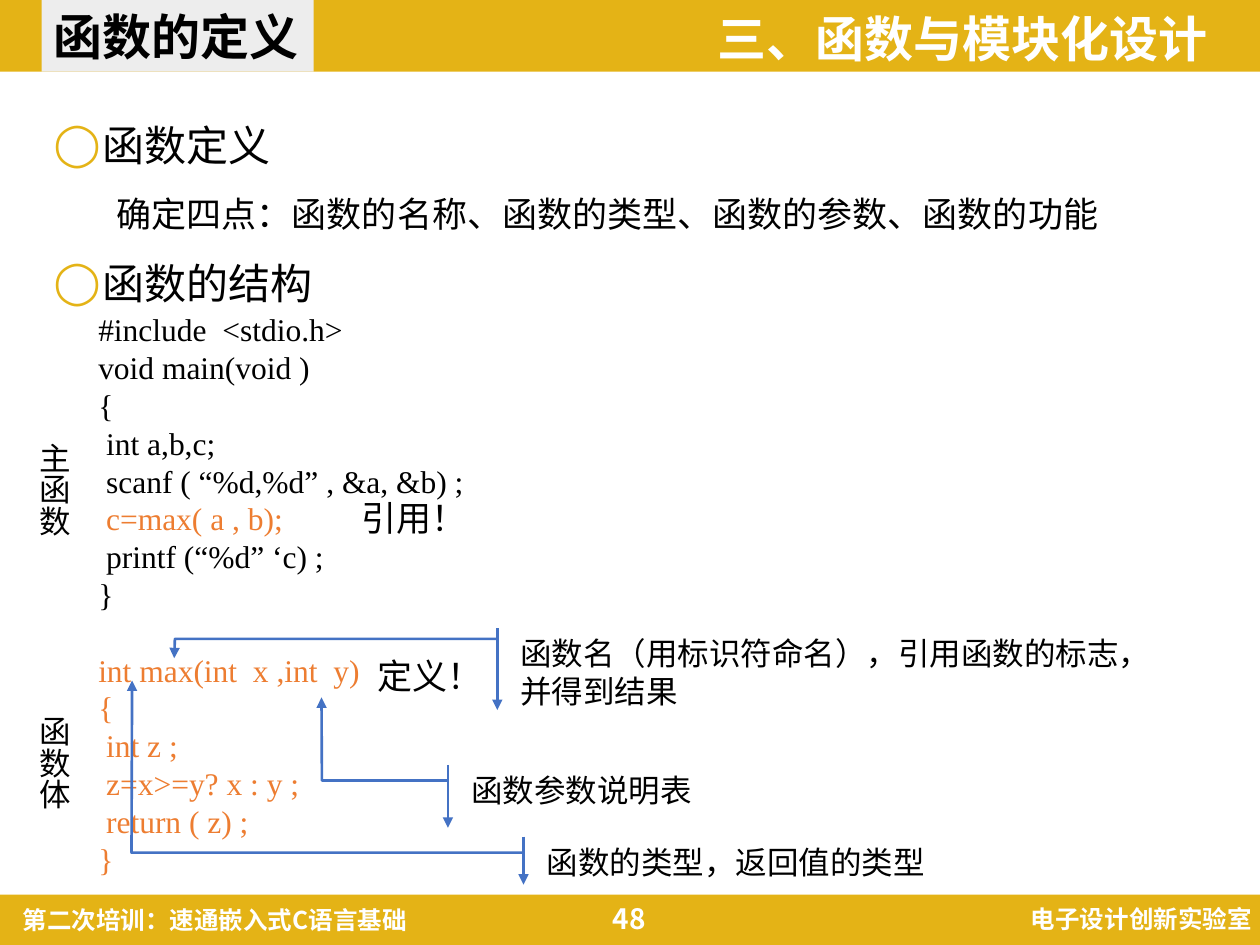
import pptx
import pptx.dml.color
import pptx.enum.shapes
import pptx.enum.text
import pptx.oxml.ns
import pptx.util
from lxml import etree

CJK, SERIF = "Noto Sans CJK SC", "Times New Roman"
GOLD, ORANGE, BLUE, WHITE, BLACK = "E4B316", "ED7D31", "4472C4", "FFFFFF", "000000"
rgb = pptx.dml.color.RGBColor.from_string
qn = pptx.oxml.ns.qn
Pt = pptx.util.Pt
MSO = pptx.enum.shapes.MSO_SHAPE
ALIGN = pptx.enum.text.PP_ALIGN
ANCHOR = pptx.enum.text.MSO_ANCHOR

prs = pptx.Presentation()
prs.slide_width, prs.slide_height = pptx.util.Inches(10), pptx.util.Inches(7.5)
s = prs.slides.add_slide(prs.slide_layouts[1])


def grid(*cells):
    """Turn columns and rows of a 100 x 75 grid into lengths."""
    return [pptx.util.Emu(round(prs.slide_width / 100 * c)) for c in cells]


def write(p, text, size=18, font=SERIF, color=BLACK, bold=False, align=ALIGN.LEFT):
    p.alignment = align
    r = p.add_run()
    r.text = text
    r.font.size, r.font.name, r.font.bold = Pt(size), font, bold
    r.font.color.rgb = rgb(color)
    etree.SubElement(r.font._element, qn("a:ea"), typeface=CJK)


# Gold bands and the grey section tab, placed behind the placeholders
bands = [((0, 0, 100, 5.7), GOLD), ((0, 71, 100, 4), GOLD), ((3.3, 0, 21.6, 5.7), "EDEDED")]
for layer, (box, color) in enumerate(bands):
    sp = s.shapes.add_shape(MSO.RECTANGLE, *grid(*box))
    sp.shadow.inherit = False
    sp.fill.solid()
    sp.fill.fore_color.rgb = rgb(color)
    sp.line.fill.background()
    s.shapes._spTree.insert(2 + layer, sp._element)
tab = sp.text_frame
tab.word_wrap = False
tab.vertical_anchor = ANCHOR.MIDDLE
write(tab.paragraphs[0], "函数的定义", size=28, font=CJK, bold=True)

# Chapter title
title = s.shapes.title
title.left, title.top, title.width, title.height = grid(43.9, 0.7, 52.9, 4.6)
title.text_frame.auto_size = pptx.enum.text.MSO_AUTO_SIZE.NONE
title.text_frame.vertical_anchor = ANCHOR.TOP
p = title.text_frame.paragraphs[0]
p.line_spacing = 0.9
write(p, "三、函数与模块化设计", size=28, font=CJK, color=WHITE, bold=True, align=ALIGN.RIGHT)

# Outline list
body = s.placeholders[1]
body.left, body.top, body.width, body.height = grid(3.25, 8.5, 93.5, 17.3)
tf = body.text_frame
tf.auto_size = pptx.enum.text.MSO_AUTO_SIZE.NONE
outline = [("函数定义", 0, 0),
           ("确定四点：函数的名称、函数的类型、函数的参数、函数的功能", 1, 5),
           ("函数的结构", 0, 10)]
for i, (text, level, before) in enumerate(outline):
    p = tf.add_paragraph() if i else tf.paragraphs[0]
    p.level = level
    pPr = p._p.get_or_add_pPr()
    margin, indent = grid(5, 0) if level else grid(3.9, -3.9)
    pPr.set("marL", str(margin))
    pPr.set("indent", str(indent))
    if level:
        etree.SubElement(pPr, qn("a:buNone"))
    else:
        bullet_color = etree.SubElement(pPr, qn("a:buClr"))
        etree.SubElement(bullet_color, qn("a:srgbClr"), val=GOLD)
        etree.SubElement(pPr, qn("a:buChar"), char="◯")
    p.line_spacing, p.space_before = Pt(32), Pt(before)
    write(p, text, size=20 if level else 24)

# Code listing, with a gap of one line before the second function
main_code = ["#include  <stdio.h>", "void main(void )", "{", " int a,b,c;",
             " scanf ( “%d,%d” , &a, &b) ;", " c=max( a , b);", " printf (“%d” ‘c) ;", "}"]
max_code = ["int max(int  x ,int  y)", "{", " int z ;", " z=x>=y? x : y ;",
            " return ( z) ;", "}"]
tf = s.shapes.add_textbox(*grid(6.82, 24.15, 33, 46.5)).text_frame
tf.word_wrap = True
for i, line in enumerate(main_code + max_code):
    p = tf.add_paragraph() if i else tf.paragraphs[0]
    if i == len(main_code):
        p.space_before = Pt(21.6)
    write(p, line, color=ORANGE if i == 5 or i >= len(main_code) else BLACK)

# Vertical names of the two functions
for text, top in [("主函数", 34.15), ("函数体", 55.85)]:
    tf = s.shapes.add_textbox(*grid(1.3, top, 5, 8.6)).text_frame
    tf.word_wrap = False
    tf._txBody.bodyPr.set("vert", "eaVert")
    write(tf.paragraphs[0], text)

# Callouts: adjustments are y, x pairs along the leader, as shares of the box
callouts = [
    ("函数的类型，返回值的类型", (42.4, 66.4, 47.5, 3.8),
     (0.333, -0.018, 0.333, -0.673, -3.262, -0.672)),
    ("函数名（用标识符命名），引用函数的标志，并得到结果", (40.3, 49.85, 51.7, 6.5),
     (0.132, -0.016, 0.132, -0.511, 0.368, -0.512)),
    ("函数参数说明表", (36.4, 60.7, 30.4, 5),
     (0.25, -0.028, 0.25, -0.357, -1.069, -0.358)),
]
for text, box, leader in callouts:
    sp = s.shapes.add_shape(MSO.LINE_CALLOUT_2_ACCENT_BAR, *grid(*box))
    for i, share in enumerate(leader):
        sp.adjustments[i] = share
    sp.shadow.inherit = False
    sp.fill.background()
    sp.line.color.rgb = rgb(BLUE)
    sp.line.width = Pt(1.5)
    etree.SubElement(sp.line._get_or_add_ln(), qn("a:tailEnd"), type="triangle")
    sp.text_frame.vertical_anchor = ANCHOR.TOP
    write(sp.text_frame.paragraphs[0], text)

# Remarks beside the code, footer texts and page number
footer = dict(size=14, font=CJK, color=WHITE, bold=True)
labels = [
    ("定义！", (29, 51.45, 10.4, 4.4), dict(size=20)),
    ("引用！", (27.7, 38.9, 10.4, 4.4), dict(size=20)),
    ("第二次培训：速通嵌入式C语言基础", (0.8, 71.35, 39.9, 3.4), footer),
    ("48", (43.8, 70.9, 12.3, 4), dict(footer, size=16, align=ALIGN.CENTER)),
    ("电子设计创新实验室", (69, 71.25, 31.35, 3.4), dict(footer, align=ALIGN.RIGHT)),
]
for text, box, style in labels:
    tf = s.shapes.add_textbox(*grid(*box)).text_frame
    tf.word_wrap = True
    if text == "48":
        tf.vertical_anchor = ANCHOR.MIDDLE
    write(tf.paragraphs[0], text, **style)

prs.save("out.pptx")
